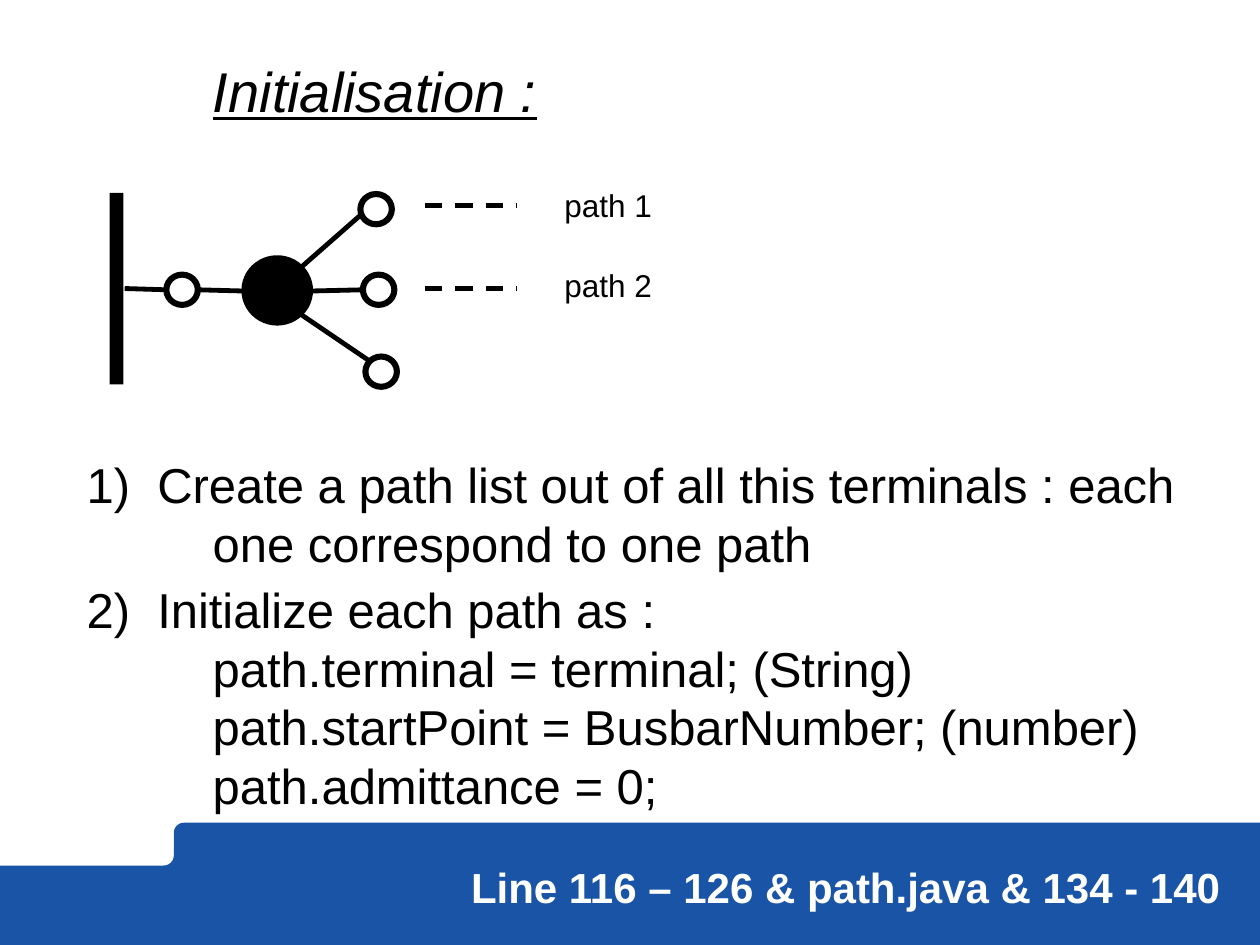
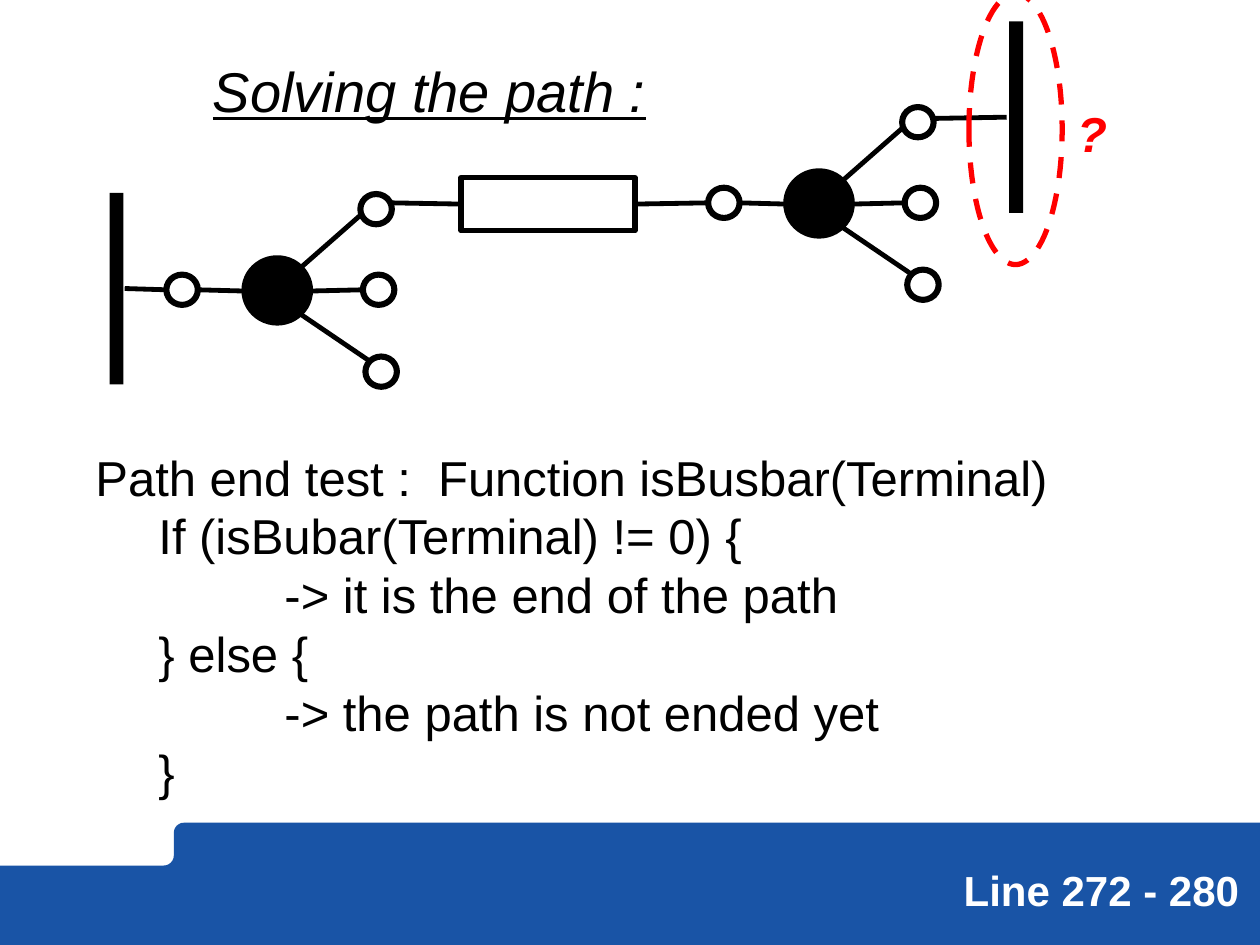
import math
from dataclasses import dataclass

from lxml import etree
from pptx import Presentation
from pptx import util as u
from pptx.dml.color import RGBColor
from pptx.enum import dml, shapes, text
from pptx.oxml.ns import qn

PX = 9144


@dataclass(frozen=True)
class Theme:
    font: str = "Arial"
    black: RGBColor = RGBColor(0, 0, 0)
    white: RGBColor = RGBColor(255, 255, 255)
    blue: RGBColor = RGBColor(0x19, 0x54, 0xA6)
    red: RGBColor = RGBColor(255, 0, 0)
    title: int = 32
    body: int = 28
    footer: int = 24
    label: int = 18
    leading: float = 1.2
    wire: float = 2.75
    ring: float = 3.5


T = Theme()
OVAL, RECT = shapes.MSO_SHAPE.OVAL, shapes.MSO_SHAPE.RECTANGLE
SOLID, DASH = dml.MSO_LINE.SOLID, dml.MSO_LINE.DASH


def place(sp, box):
    sp.left, sp.top, sp.width, sp.height = [v * PX for v in box]


def write(sp, lines, size, color=T.black, bold=False, italic=False, underline=False, number=0):
    tf = sp.text_frame
    tf.word_wrap = True
    tf.auto_size = text.MSO_AUTO_SIZE.NONE
    tf.vertical_anchor = text.MSO_ANCHOR.TOP
    tf.text = "\n".join(line for line, indent in lines)
    for i, (p, (line, indent)) in enumerate(zip(tf.paragraphs, lines)):
        p.alignment = text.PP_ALIGN.LEFT
        p.line_spacing = u.Pt(size * T.leading)
        pPr = p._p.get_or_add_pPr()
        pPr.set("marL", str(indent * PX))
        if number and i == 0:
            pPr.set("indent", str(-indent * PX))
            etree.SubElement(pPr, qn("a:buFont"), typeface=T.font)
            etree.SubElement(pPr, qn("a:buAutoNum"), type="arabicParenR", startAt=str(number))
        for r in p.runs:
            f = r.font
            f.name, f.size, f.color.rgb = T.font, u.Pt(size), color
            f.bold, f.italic, f.underline = bold, italic, underline


prs = Presentation()
prs.slide_width, prs.slide_height = 1000 * PX, 750 * PX
layout = prs.slide_layouts[5]

busbar_wire = (99, 229, 132, 230)
wires = [(157, 230, 194, 231), (238, 213, 287, 170), (246, 231, 288, 230), (238, 249, 294, 287)]
terminals = [(132, 218), (286, 154), (288, 218), (290, 283)]
hub = (194, 205, 52, 51)
step = (430, -69)

slides = [
    dict(
        title=("Initialisation :", (159, 40, 282, 64)),
        networks=[(0, 0)],
        busbars=[(87, 153)],
        wires=[busbar_wire],
        dashes=[(337, 163, 410, 163), (337, 229, 410, 229)],
        outlines=[],
        texts=[
            ([("path 1", 0)], (438, 143, 92, 40), dict(size=T.label)),
            ([("path 2", 0)], (438, 206, 92, 40), dict(size=T.label)),
            ([("Create a path list out of all this terminals : each", 56),
              ("one correspond to one path", 100)],
             (59, 356, 896, 110), dict(size=T.body, number=1)),
            ([("Initialize each path as :", 56),
              ("path.terminal = terminal; (String)", 100),
              ("path.startPoint = BusbarNumber; (number)", 100),
              ("path.admittance = 0;", 100)],
             (59, 455, 896, 200), dict(size=T.body, number=2)),
            ([("Line 116 – 126 & path.java & 134 - 140", 0)], (364, 679, 623, 50),
             dict(size=T.footer, color=T.white, bold=True)),
        ],
    ),
    dict(
        title=("Solving the path :", (159, 40, 370, 64)),
        networks=[(0, 0), step],
        busbars=[(87, 153), (801, 17)],
        wires=[busbar_wire, (310, 161, 366, 162), (504, 162, 562, 161), (742, 94, 799, 93)],
        dashes=[],
        outlines=[(RECT, (366, 141, 138, 42), T.black, 3.25, SOLID),
                  (OVAL, (769, -5, 74, 215), T.red, 3, DASH)],
        texts=[
            ([("Path end test :  Function isBusbar(Terminal)", 0),
              ("If (isBubar(Terminal) != 0) {", 50),
              ("-> it is the end of the path", 150),
              ("} else {", 50),
              ("-> the path is not ended yet", 150),
              ("}", 50)],
             (66, 350, 787, 293), dict(size=T.body)),
            ([("?", 0)], (845, 77, 46, 57),
             dict(size=T.body, color=T.red, bold=True, italic=True)),
            ([("Line 272 - 280", 0)], (755, 681, 243, 50),
             dict(size=T.footer, color=T.white, bold=True)),
        ],
    ),
]

for n, page in enumerate(slides):
    s = prs.slides.add_slide(layout)
    if n == 0:
        radius = 8
        turns = [math.radians(a) for a in range(0, 91, 15)]
        lower = [(130 + radius * math.sin(a), 679 + radius * math.cos(a)) for a in turns]
        upper = [(146 - radius * math.cos(a), 661 - radius * math.sin(a)) for a in turns]
        outline = lower + upper + [(1000, 653), (1000, 750), (0, 750)]
        fb = s.shapes.build_freeform(0, 687 * PX)
        fb.add_line_segments([(x * PX, y * PX) for x, y in outline])
        band = fb.convert_to_shape()
        band.shadow.inherit = False
        band.fill.solid()
        band.fill.fore_color.rgb = T.blue
        band.line.fill.background()
        layout.shapes.element.insert(2, band.element)

    title, box = page["title"]
    place(s.shapes.title, box)
    write(s.shapes.title, [(title, 0)], T.title, italic=True, underline=True)

    lines = [(w, T.wire, SOLID) for w in page["wires"]]
    lines += [(w, 2.5, DASH) for w in page["dashes"]]
    marks = [(RECT, (x, y, 11, 152), T.black, 0, SOLID, True) for x, y in page["busbars"]]
    marks += [(*mark, False) for mark in page["outlines"]]
    for dx, dy in page["networks"]:
        lines += [((a + dx, b + dy, c + dx, d + dy), T.wire, SOLID) for a, b, c, d in wires]
        marks += [(OVAL, (x + dx, y + dy, 25, 24), T.black, T.ring, SOLID, False)
                  for x, y in terminals]
        x, y, w, h = hub
        marks.append((OVAL, (x + dx, y + dy, w, h), T.black, T.ring, SOLID, True))

    for ends, width, dash in lines:
        c = s.shapes.add_connector(shapes.MSO_CONNECTOR.STRAIGHT, *[v * PX for v in ends])
        c.line.color.rgb, c.line.width, c.line.dash_style = T.black, u.Pt(width), dash
        etree.SubElement(c.element.spPr, qn("a:effectLst"))

    for kind, box, color, width, dash, filled in marks:
        sp = s.shapes.add_shape(kind, *[v * PX for v in box])
        sp.shadow.inherit = False
        if filled:
            sp.fill.solid()
            sp.fill.fore_color.rgb = color
        else:
            sp.fill.background()
        if width:
            sp.line.color.rgb, sp.line.width, sp.line.dash_style = color, u.Pt(width), dash
        else:
            sp.line.fill.background()

    for content, box, style in page["texts"]:
        write(s.shapes.add_textbox(*[v * PX for v in box]), content, **style)

prs.save("out.pptx")
